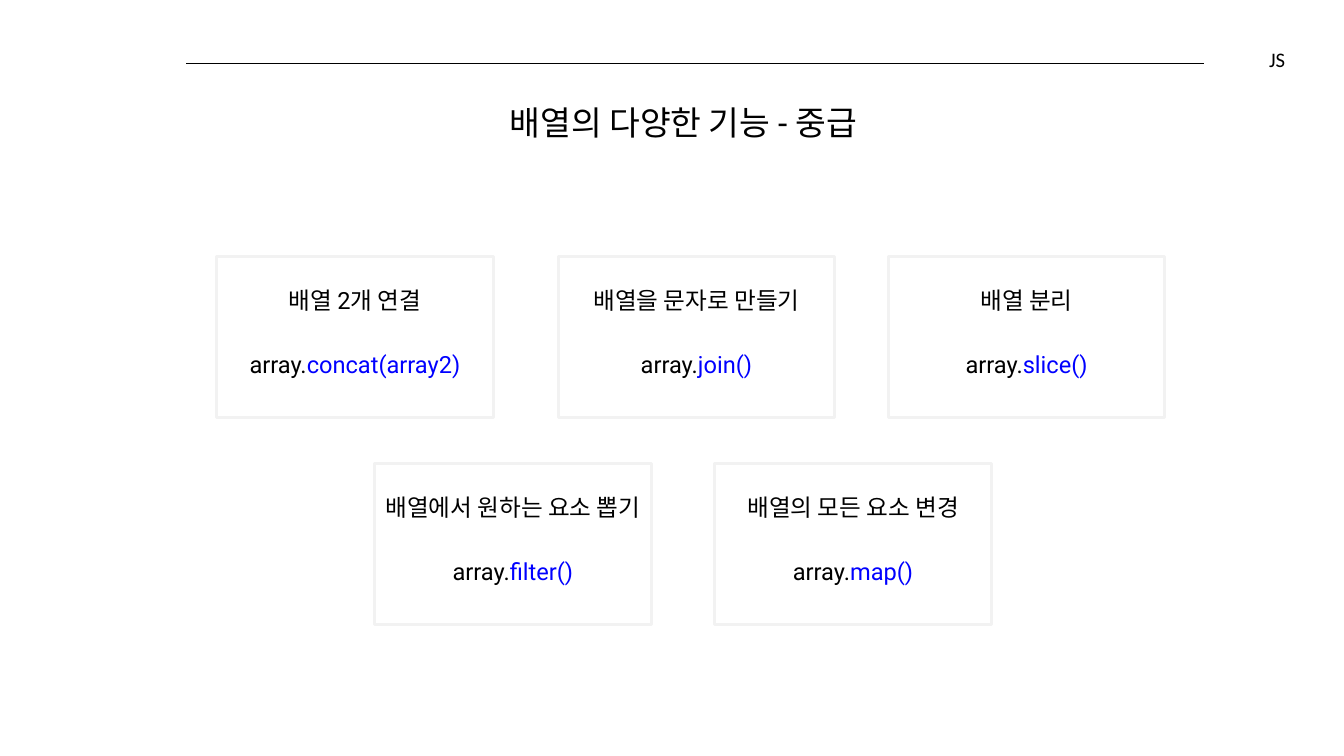
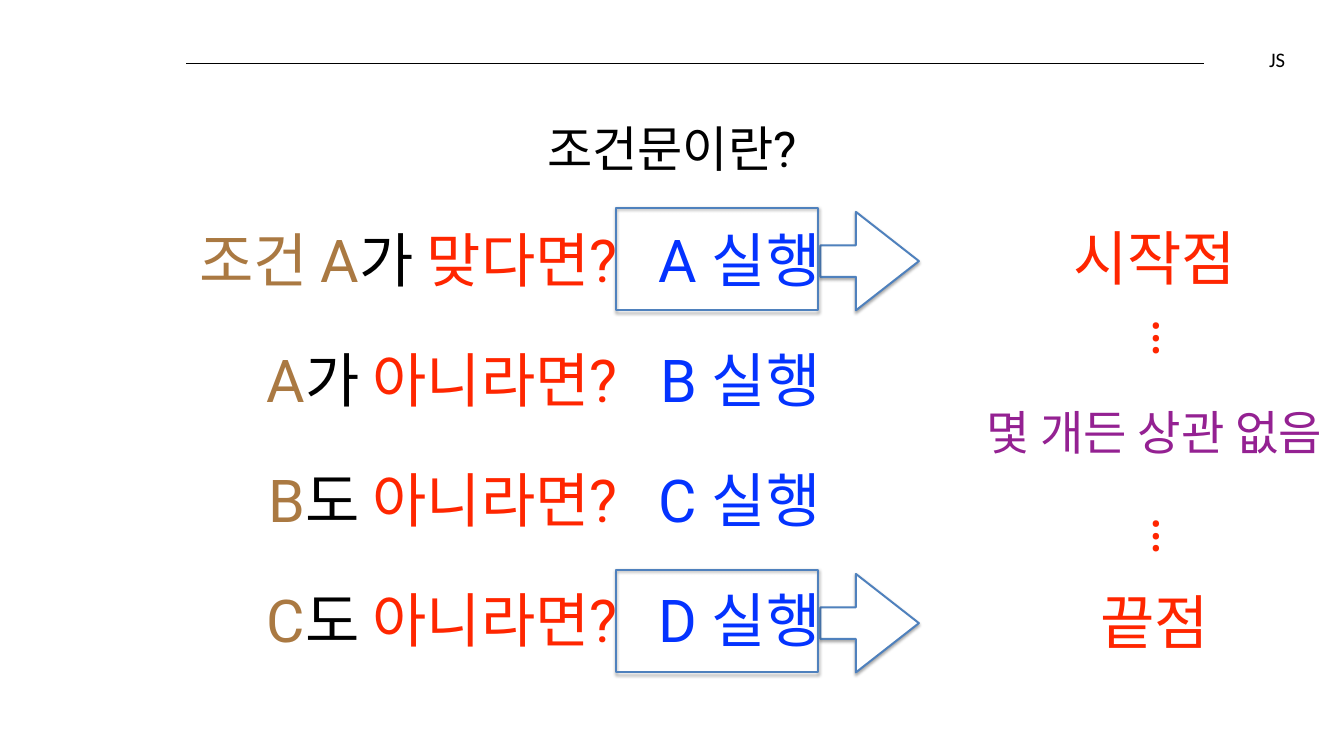
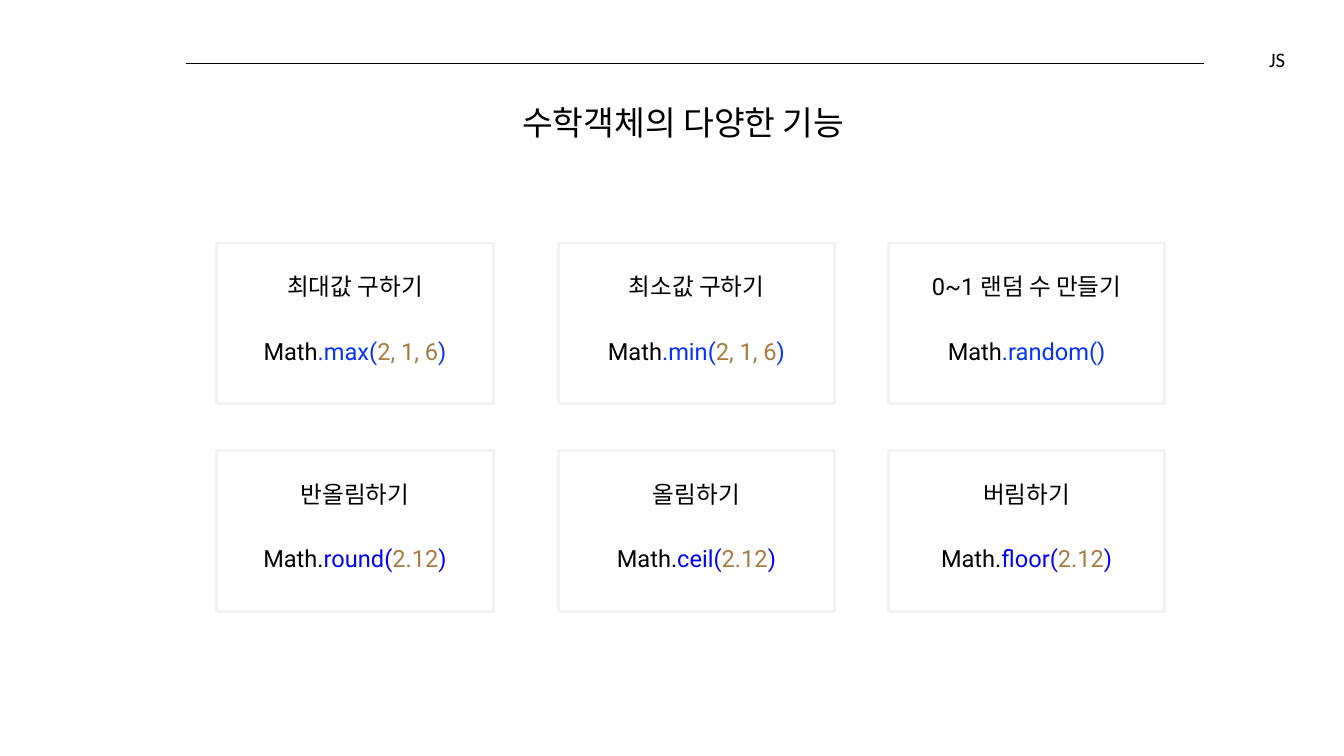
from dataclasses import dataclass

from lxml import etree
from pptx import Presentation
from pptx import util as u
from pptx.dml.color import RGBColor
from pptx.enum import shapes, text
from pptx.oxml import ns


@dataclass(frozen=True)
class Theme:
    black: str = "000000"
    white: str = "FFFFFF"
    card_line: str = "F2F2F2"
    pure_blue: str = "0000FF"
    blue: str = "0433FF"
    red: str = "FF2600"
    brown: str = "AA7942"
    purple: str = "942192"
    outline: str = "4F81BD"
    body_font: str = "Roboto"
    label_font: str = "Calibri"
    label: int = 21
    card: int = 24
    heading: int = 34
    note: int = 48
    question: int = 50
    flow: int = 60


T = Theme()
CENTER, RIGHT = text.PP_ALIGN.CENTER, text.PP_ALIGN.RIGHT
RECT, ARROW = shapes.MSO_SHAPE.RECTANGLE, shapes.MSO_SHAPE.RIGHT_ARROW
INSET = 0.19
CARD_W, CARD_H = 3.9, 2.27
COLUMNS = (3.06, 7.88, 12.54)


def rgb(value):
    return RGBColor.from_string(value)


def inches(*values):
    return [u.Inches(v) for v in values]


def write(tf, runs, size, align, font=T.body_font, inset=INSET):
    """Fill a text frame with one paragraph of (words, colour) runs."""
    tf.word_wrap = True
    tf.margin_left = tf.margin_right = u.Inches(inset)
    tf.margin_top = tf.margin_bottom = u.Inches(inset)
    p = tf.paragraphs[0]
    p.alignment = align
    p.font.size, p.font.name = u.Pt(size), font
    for words, color in runs:
        r = p.add_run()
        r.text = words
        r.font.color.rgb = rgb(color)


def add_text(s, box, runs, size, align=CENTER):
    tb = s.shapes.add_textbox(*inches(*box))
    write(tb.text_frame, runs, size, align)
    return tb


def add_outline(s, kind, box, color, width, fill=None):
    sp = s.shapes.add_shape(kind, *inches(*box))
    sp.shadow.inherit = False
    if fill:
        sp.fill.solid()
        sp.fill.fore_color.rgb = rgb(fill)
    else:
        sp.fill.background()
    sp.line.color.rgb = rgb(color)
    sp.line.width = u.Pt(width)
    return sp


def add_soft_shadow(sp):
    effects = sp._element.spPr.find(ns.qn("a:effectLst"))
    shadow = etree.SubElement(effects, ns.qn("a:outerShdw"), blurRad=str(u.Pt(3)),
                              dist=str(u.Pt(1.8)), dir="5400000", rotWithShape="0")
    color = etree.SubElement(shadow, ns.qn("a:srgbClr"), val=T.black)
    etree.SubElement(color, ns.qn("a:alpha"), val="35000")


def new_slide(prs):
    """Add a slide with the header rule and the corner label."""
    s = prs.slides.add_slide(prs.slide_layouts[5])
    rule = s.shapes.add_connector(shapes.MSO_CONNECTOR.STRAIGHT,
                                  *inches(16.99, 0.9, 2.62, 0.9))
    rule.line.color.rgb = rgb(T.black)
    rule.line.width = u.Pt(0.75)
    etree.SubElement(rule._element.spPr, ns.qn("a:effectLst"))
    title = s.shapes.title
    title.left, title.top, title.width, title.height = inches(12.65, 0.64, 5.49, 0.38)
    tf = title.text_frame
    tf.auto_size = text.MSO_AUTO_SIZE.NONE
    tf.vertical_anchor = text.MSO_ANCHOR.MIDDLE
    write(tf, [("JS", T.black)], T.label, RIGHT, T.label_font, 0)
    return s


def add_card(s, left, top, caption, code):
    add_outline(s, RECT, (left, top, CARD_W, CARD_H), T.card_line, 3)
    for dy, runs in ((0.22, [(caption, T.black)]), (1.13, code)):
        add_text(s, (left - 0.22, top + dy, CARD_W + 0.44, 0.8), runs, T.card)


def card_slide(prs, heading, rows):
    """Each row is (top, card lefts, cards); a card is (caption, code runs)."""
    s = new_slide(prs)
    add_text(s, (3.93, 1.25, 11.43, 0.98), [(heading, T.black)], T.heading)
    for top, lefts, cards in rows:
        for left, (caption, code) in zip(lefts, cards):
            add_card(s, left, top, caption, code)


def array_call(call):
    return [("array.", T.black), (call, T.pure_blue)]


def math_call(name, args, color):
    return [("Math.", T.black), (f"{name}(", color), (args, T.brown), (")", color)]


def math_dot_call(name, args=""):
    """Like math_call, with the dot in the colour of the call."""
    if not args:
        return [("Math", T.black), (f".{name}()", T.blue)]
    return [("Math", T.black), (f".{name}(", T.blue), (args, T.brown), (")", T.blue)]


def add_branch(s, top, subject, particle, test, action):
    """A question that ends where the action column begins."""
    question = [(subject, T.brown), (particle + " ", T.black), (test, T.red)]
    add_text(s, (1.4, top, 7.32 + INSET, 1.44), question, T.flow, RIGHT)
    add_text(s, (8.6, top, 2.98 + INSET, 1.44), [(action, T.blue)], T.flow, RIGHT)


def add_pointer(s, top):
    """A frame round an action, with an arrow to its label."""
    arrow = add_outline(s, ARROW, (11.58, top + 0.06, 1.39, 1.39), T.outline, 2, T.white)
    arrow.adjustments[0], arrow.adjustments[1] = 0.32, 0.64
    frame = add_outline(s, RECT, (8.7, top, 2.85, 1.45), T.outline, 2)
    for sp in (arrow, frame):
        add_soft_shadow(sp)


def add_range(s, left, width):
    """The column from start to end point, with dots between."""
    for top, words, color, size in (
        (2.93, "시작점", T.red, T.flow),
        (5.5, "몇 개든 상관 없음", T.purple, T.note),
        (8.07, "끝점", T.red, T.flow),
    ):
        add_text(s, (left, top, width, 1.38), [(words, color)], size)
    for top in (4.09, 6.88):
        dots = add_text(s, (14.94, top, 3.35, 1.38), [("…", T.red)], T.flow)
        dots.rotation = 90


def condition_slide(prs):
    s = new_slide(prs)
    add_text(s, (3.77, 1.48, 11.43, 1.26), [("조건문이란?", T.black)], T.question)
    branches = (
        ("조건 A", "가", "맞다면?", "A 실행"),
        ("A", "가", "아니라면?", "B 실행"),
        ("B", "도", "아니라면?", "C 실행"),
        ("C", "도", "아니라면?", "D 실행"),
    )
    for i, branch in enumerate(branches):
        add_branch(s, 2.97 + 1.69 * i, *branch)
    for top in (2.93, 8.04):
        add_pointer(s, top)
    add_range(s, 13.65, 5.29)


def main():
    prs = Presentation()
    prs.slide_width, prs.slide_height = inches(18.97, 10.67)
    card_slide(prs, "배열의 다양한 기능 - 중급", (
        (3.62, COLUMNS, (
            ("배열 2개 연결", array_call("concat(array2)")),
            ("배열을 문자로 만들기", array_call("join()")),
            ("배열 분리", array_call("slice()")),
        )),
        (6.54, (5.29, 10.09), (
            ("배열에서 원하는 요소 뽑기", array_call("filter()")),
            ("배열의 모든 요소 변경", array_call("map()")),
        )),
    ))
    condition_slide(prs)
    card_slide(prs, "수학객체의 다양한 기능", (
        (3.43, COLUMNS, (
            ("최대값 구하기", math_dot_call("max", "2, 1, 6")),
            ("최소값 구하기", math_dot_call("min", "2, 1, 6")),
            ("0~1 랜덤 수 만들기", math_dot_call("random")),
        )),
        (6.36, COLUMNS, (
            ("반올림하기", math_call("round", "2.12", T.pure_blue)),
            ("올림하기", math_call("ceil", "2.12", T.pure_blue)),
            ("버림하기", math_call("floor", "2.12", T.pure_blue)),
        )),
    ))
    prs.save("out.pptx")


if __name__ == "__main__":
    main()
